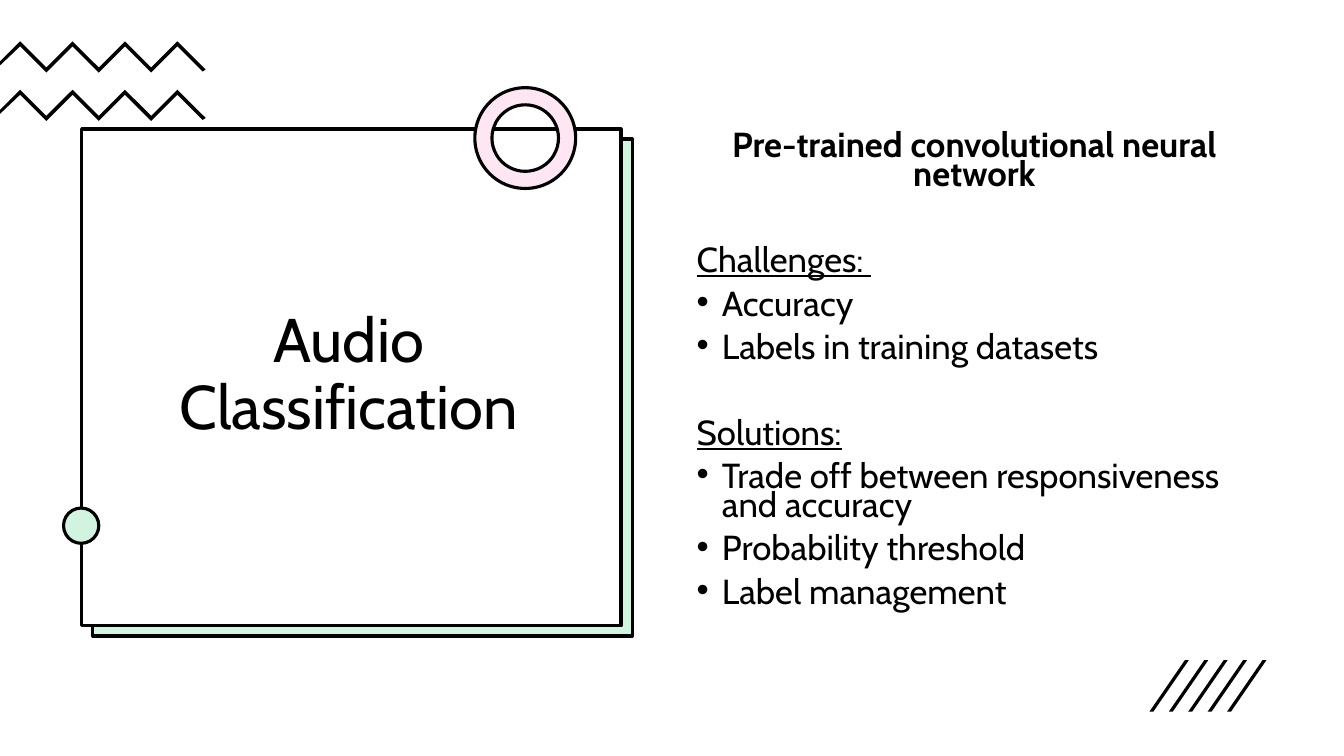
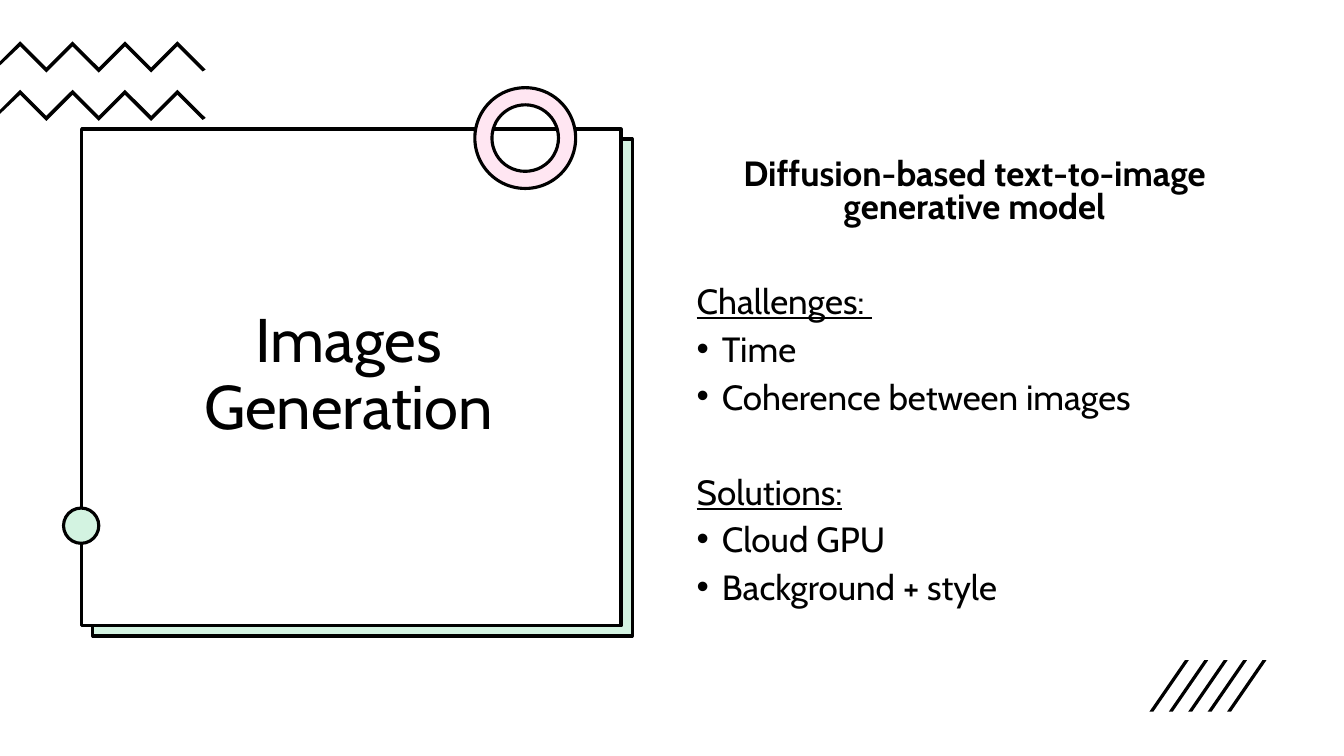
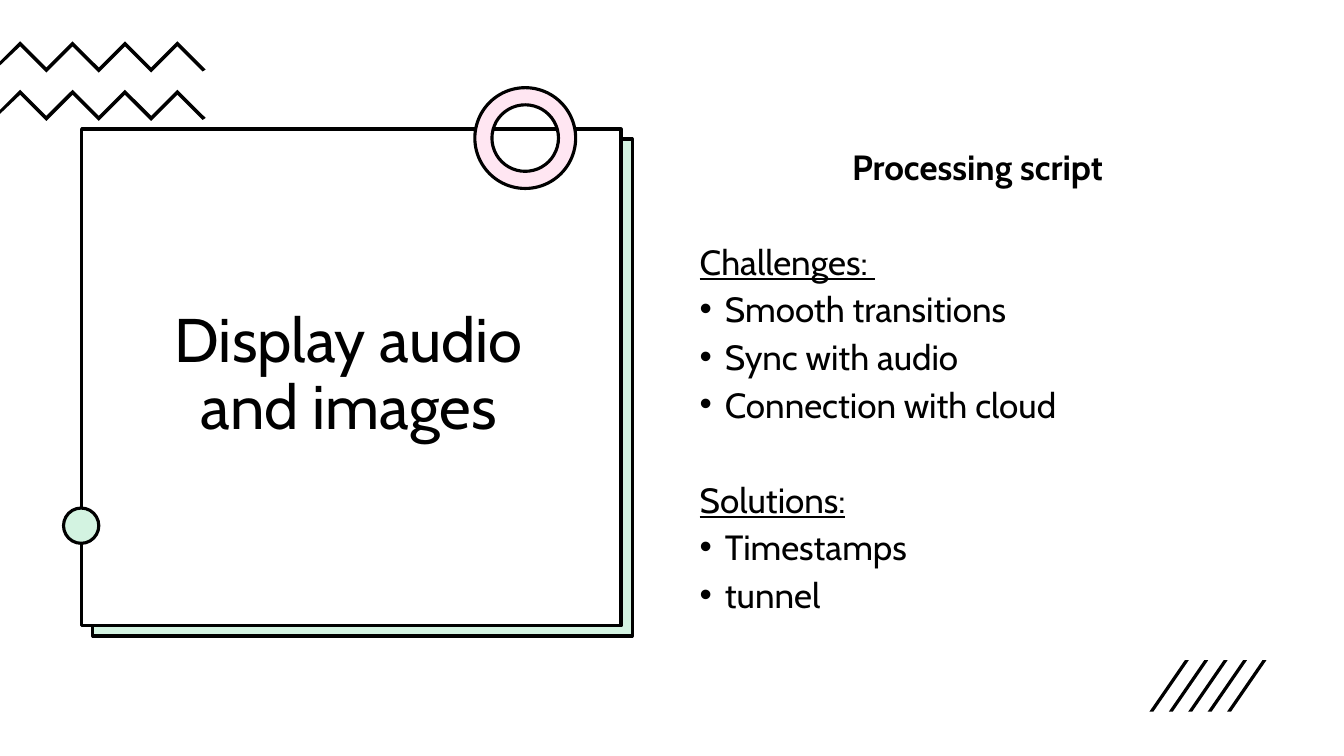
"""Build three slides on audio classification, image generation and display."""
from lxml.etree import SubElement
from pptx import Presentation
from pptx.dml.color import RGBColor
from pptx.enum.shapes import MSO_SHAPE
from pptx.enum.text import MSO_ANCHOR, MSO_AUTO_SIZE, PP_ALIGN
from pptx.oxml.ns import qn
from pptx.util import Inches, Pt

BLACK = RGBColor(0x00, 0x00, 0x00)
WHITE = RGBColor(0xFF, 0xFF, 0xFF)
MINT = RGBColor(0xD3, 0xF3, 0xE1)
PINK = RGBColor(0xFF, 0xE6, 0xF2)
FONT = "Cabin"
PARAGRAPH_GAP = 10
INDENT = Inches(0.25)

SLIDES = [
    {
        "title": "Audio Classification",
        "method": "Pre-trained convolutional neural network",
        "sections": [
            ("Challenges: ", ["Accuracy", "Labels in training datasets"]),
            ("Solutions:", ["Trade off between responsiveness and accuracy",
                            "Probability threshold", "Label management"]),
        ],
        "body": (6.81, 1.28, 5.71, 5.03), "size": 24.8, "spacing": 0.7,
    },
    {
        "title": "Images Generation",
        "method": "Diffusion-based text-to-image generative model",
        "sections": [
            ("Challenges: ", ["Time", "Coherence between images"]),
            ("Solutions:", ["Cloud GPU", "Background + style"]),
        ],
        "body": (6.81, 1.53, 5.71, 4.64), "size": 25, "spacing": 0.8,
    },
    {
        "title": "Display audio and images",
        "method": "Processing script",
        "sections": [
            ("Challenges: ", ["Smooth transitions", "Sync with audio",
                              "Connection with cloud"]),
            ("Solutions:", ["Timestamps", "tunnel"]),
        ],
        "body": (6.84, 1.47, 5.71, 4.76), "size": 25, "spacing": 0.8,
    },
]


def style_shape(shape, fill, outlined=True):
    shape.shadow.inherit = False
    shape.fill.solid()
    shape.fill.fore_color.rgb = fill
    if outlined:
        shape.line.color.rgb = BLACK
        shape.line.width = Pt(2.25)
    else:
        shape.line.fill.background()


def add_preset(slide, preset, box, fill, outlined=True):
    shape = slide.shapes.add_shape(preset, *map(Inches, box))
    style_shape(shape, fill, outlined)
    return shape


def add_zigzag(slide, top):
    ridge = [(0.2 + 0.26 * i, top + 0.26 * (i % 2)) for i in range(7)]
    underside = [(x, y + 0.05) for x, y in reversed(ridge)]
    outline = (ridge + [(2.04, top + 0.28), (2.01, top + 0.3)] + underside
               + [(0, top + 0.24), (0, top + 0.2)])
    points = [(Inches(x), Inches(y)) for x, y in outline]
    builder = slide.shapes.build_freeform(*points[0])
    builder.add_line_segments(points[1:], close=True)
    style_shape(builder.convert_to_shape(), BLACK, outlined=False)


def add_decoration(slide):
    for top in (0.41, 0.89):
        add_zigzag(slide, top)
    add_preset(slide, MSO_SHAPE.RECTANGLE, (0.92, 1.38, 5.35, 4.93), MINT)
    add_preset(slide, MSO_SHAPE.RECTANGLE, (0.81, 1.28, 5.35, 4.93), WHITE)
    ring = add_preset(slide, MSO_SHAPE.DONUT, (4.71, 0.87, 1, 1), PINK)
    ring.adjustments[0] = 0.17
    add_preset(slide, MSO_SHAPE.OVAL, (0.63, 5.04, 0.35, 0.35), MINT)
    for i in range(5):
        slash = add_preset(slide, MSO_SHAPE.PARALLELOGRAM,
                           (11.4 + 0.77 * i / 4, 6.55, 0.39, 0.51), BLACK, False)
        slash.adjustments[0] = 0.9


def prepare_placeholder(placeholder, box, anchor):
    placeholder.left, placeholder.top, placeholder.width, placeholder.height = map(Inches, box)
    placeholder.element.getparent().append(placeholder.element)
    text_frame = placeholder.text_frame
    text_frame.auto_size = MSO_AUTO_SIZE.NONE
    text_frame.word_wrap = True
    text_frame.vertical_anchor = anchor
    return text_frame


def format_paragraph(paragraph, size, spacing, before=0, centred=False):
    paragraph.alignment = PP_ALIGN.CENTER if centred else PP_ALIGN.LEFT
    paragraph.line_spacing = spacing
    paragraph.space_before = Pt(before)
    for run in paragraph.runs:
        run.font.name = FONT
        run.font.size = Pt(size)
        run.font.color.rgb = BLACK


def set_bullet(paragraph, bulleted):
    properties = paragraph._p.get_or_add_pPr()
    properties.set("marL", str(INDENT if bulleted else 0))
    properties.set("indent", str(-INDENT if bulleted else 0))
    if bulleted:
        SubElement(properties, qn("a:buChar")).set("char", "•")
    else:
        SubElement(properties, qn("a:buNone"))


def fill_body(text_frame, content):
    size, spacing = content["size"], content["spacing"]
    section_gap = round(2 * PARAGRAPH_GAP + 1.2 * size * spacing, 1)
    method = text_frame.paragraphs[0]
    method.text = content["method"]
    format_paragraph(method, size, spacing, centred=True)
    set_bullet(method, False)
    method.runs[0].font.bold = True
    for name, items in content["sections"]:
        heading = text_frame.add_paragraph()
        heading.text = name
        format_paragraph(heading, size, spacing, section_gap)
        set_bullet(heading, False)
        heading.runs[0].font.underline = True
        for item in items:
            paragraph = text_frame.add_paragraph()
            paragraph.text = item
            format_paragraph(paragraph, size, spacing, PARAGRAPH_GAP)
            set_bullet(paragraph, True)


def main():
    presentation = Presentation()
    presentation.slide_width = Inches(13.33)
    presentation.slide_height = Inches(7.5)
    for content in SLIDES:
        slide = presentation.slides.add_slide(presentation.slide_layouts[1])
        add_decoration(slide)
        title = prepare_placeholder(slide.shapes.title, (1.21, 1.38, 4.5, 4.7),
                                    MSO_ANCHOR.MIDDLE)
        title.text = content["title"]
        format_paragraph(title.paragraphs[0], 44, 0.9, centred=True)
        body = prepare_placeholder(slide.placeholders[1], content["body"], MSO_ANCHOR.TOP)
        fill_body(body, content)
    presentation.save("out.pptx")


if __name__ == "__main__":
    main()
